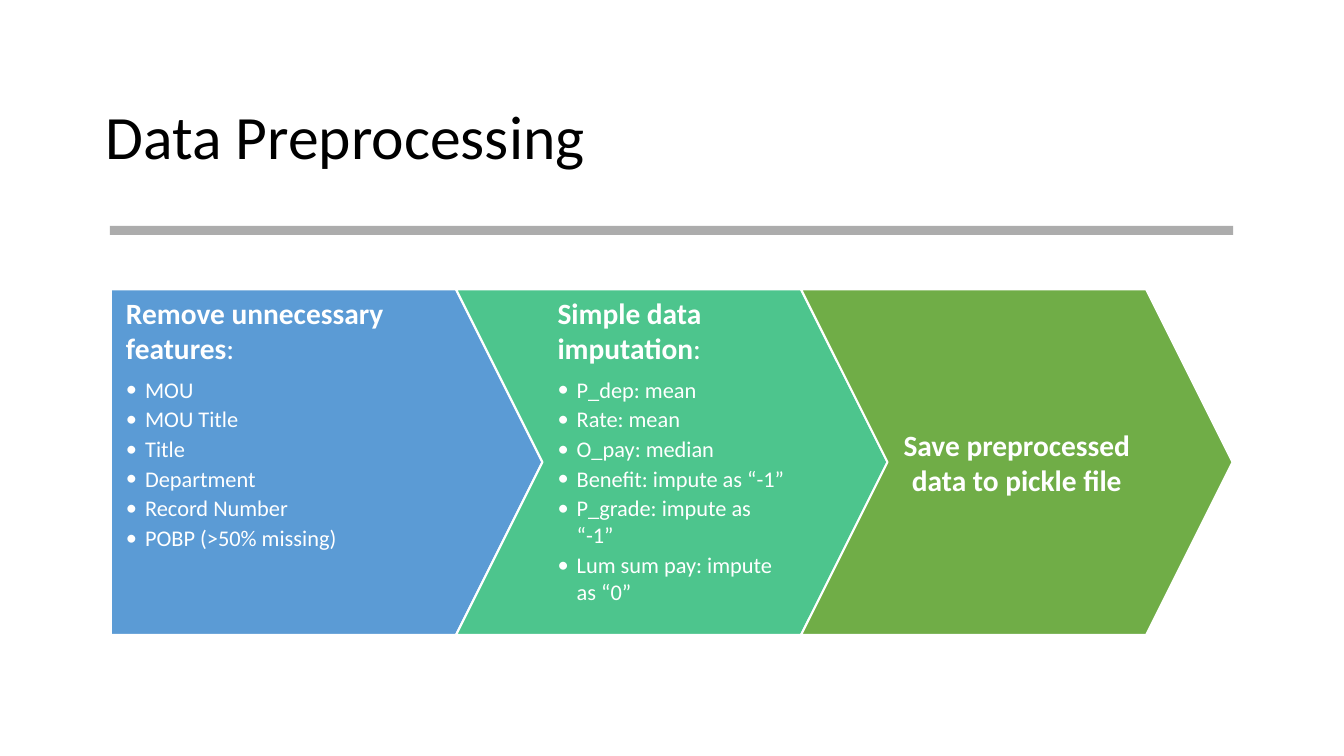
from pptx import Presentation
from pptx.dml.color import RGBColor
from pptx.enum.shapes import MSO_SHAPE
from pptx.enum.text import MSO_ANCHOR, PP_ALIGN
from pptx.oxml.ns import qn
from pptx.util import Inches, Pt
from lxml.etree import SubElement

WHITE = RGBColor(0xFF, 0xFF, 0xFF)
BLACK = RGBColor(0, 0, 0)
GRAY = RGBColor(0x80, 0x80, 0x80)
BLUE = RGBColor(0x5B, 0x9B, 0xD5)
TEAL = RGBColor(0x4D, 0xC5, 0x8D)
GREEN = RGBColor(0x70, 0xAD, 0x47)

TITLE = "Data Preprocessing"
STEPS = [
    (BLUE, "Remove unnecessary features", ":",
     ["MOU", "MOU Title", "Title", "Department", "Record Number",
      "POBP (>50% missing)"]),
    (TEAL, "Simple data imputation", ":",
     ["P_dep: mean", "Rate: mean", "O_pay: median", "Benefit: impute as “-1”",
      "P_grade: impute as “-1”", "Lum sum pay: impute as “0”"]),
    (GREEN, "Save preprocessed data to pickle file", "", []),
]

LEFT, TOP, WIDTH, HEIGHT = 1.1, 2.87, 4.28, 3.43
POINT = HEIGHT / 4
PITCH = WIDTH - POINT
INDENT = 0.19


def add_text(p, text, size=16, color=WHITE, bold=False):
    r = p.add_run()
    r.text = text
    r.font.name = "Calibri"
    r.font.size = Pt(size)
    r.font.color.rgb = color
    r.font.bold = bold


def add_box(x, y, w, h, anchor=MSO_ANCHOR.TOP, insets=(0.1, 0.05, 0.1, 0.05)):
    tf = s.shapes.add_textbox(Inches(x), Inches(y), Inches(w), Inches(h)).text_frame
    tf.word_wrap = True
    tf.vertical_anchor = anchor
    tf.margin_left, tf.margin_top, tf.margin_right, tf.margin_bottom = map(Inches, insets)
    return tf


def add_block(kind, x, y, w, h, color):
    sp = s.shapes.add_shape(kind, Inches(x), Inches(y), Inches(w), Inches(h))
    sp.shadow.inherit = False
    sp.fill.solid()
    sp.fill.fore_color.rgb = color
    return sp


def add_bullet(p):
    pPr = p._p.get_or_add_pPr()
    pPr.set("marL", str(Inches(INDENT)))
    pPr.set("indent", str(-Inches(INDENT)))
    SubElement(pPr, qn("a:buFont")).set("typeface", "Calibri")
    SubElement(pPr, qn("a:buChar")).set("char", "•")


prs = Presentation()
prs.slide_width, prs.slide_height = Inches(13.33), Inches(7.5)
s = prs.slides.add_slide(prs.slide_layouts[6])

p = add_box(0.95, 0.66, 11.43, 1.45, MSO_ANCHOR.MIDDLE).paragraphs[0]
p.line_spacing = 0.9
add_text(p, TITLE, size=44, color=BLACK)

rule = add_block(MSO_SHAPE.RECTANGLE, 1.09, 2.24, 11.14, 0.09, GRAY)
rule.line.fill.background()
rgb = rule.fill._xPr.find(qn("a:solidFill"))[0]
SubElement(rgb, qn("a:alpha")).set("val", "65000")

for i, (color, heading, suffix, items) in enumerate(STEPS):
    first = i == 0
    x = LEFT + i * PITCH
    kind = MSO_SHAPE.PENTAGON if first else MSO_SHAPE.CHEVRON
    sp = add_block(kind, x, TOP, WIDTH, HEIGHT, color)
    sp.adjustments[0] = 0.25
    sp.line.color.rgb = WHITE
    sp.line.width = Pt(1.5)

    text_x = x if first else x + POINT
    text_w = WIDTH - POINT / 2 if first else WIDTH - 2 * POINT
    tf = add_box(text_x, TOP, text_w, HEIGHT,
                 MSO_ANCHOR.TOP if items else MSO_ANCHOR.MIDDLE,
                 (0.15, 0.06, 0.6 if first else 0.15, 0.06))
    p = tf.paragraphs[0]
    p.alignment = PP_ALIGN.LEFT if items else PP_ALIGN.CENTER
    p.space_after = Pt(7)
    add_text(p, heading, size=21, bold=True)
    if suffix:
        add_text(p, suffix, size=21)
    for item in items:
        p = tf.add_paragraph()
        p.level = 1
        p.space_after = Pt(2)
        add_bullet(p)
        add_text(p, item)

prs.save("out.pptx")
